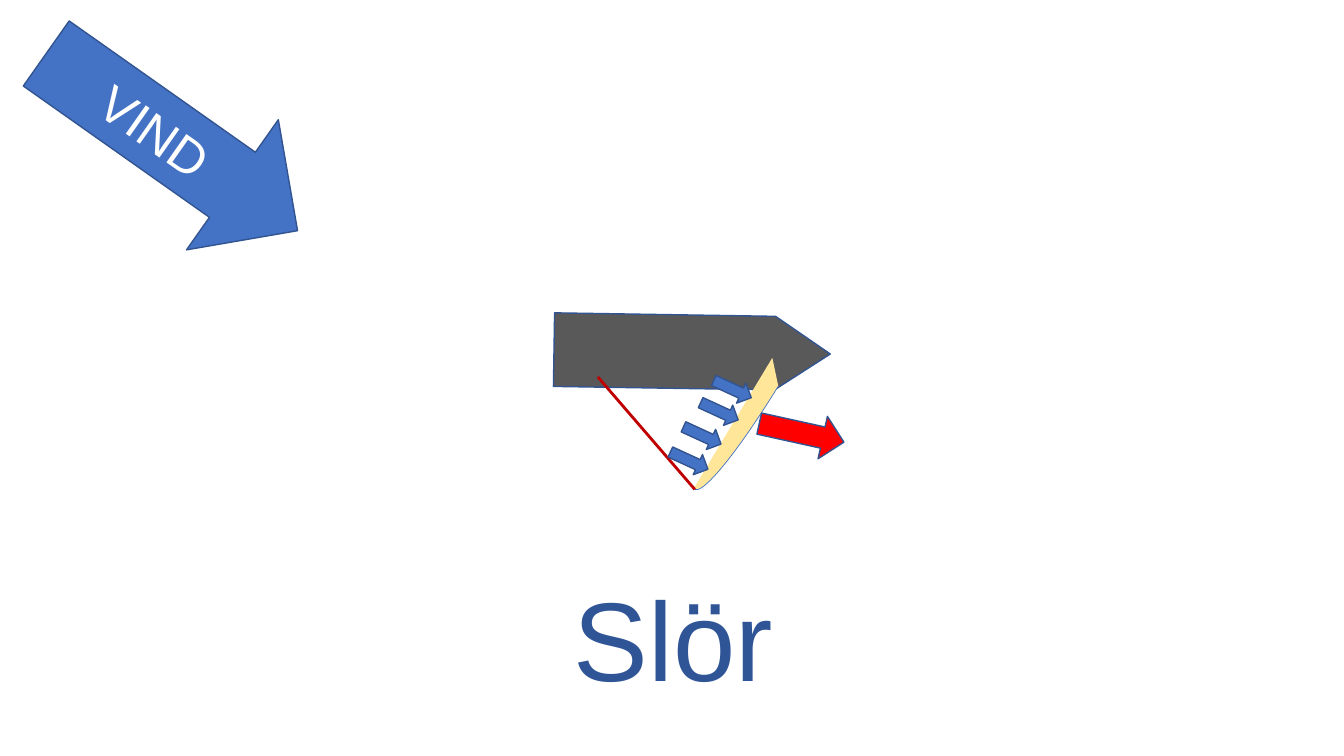
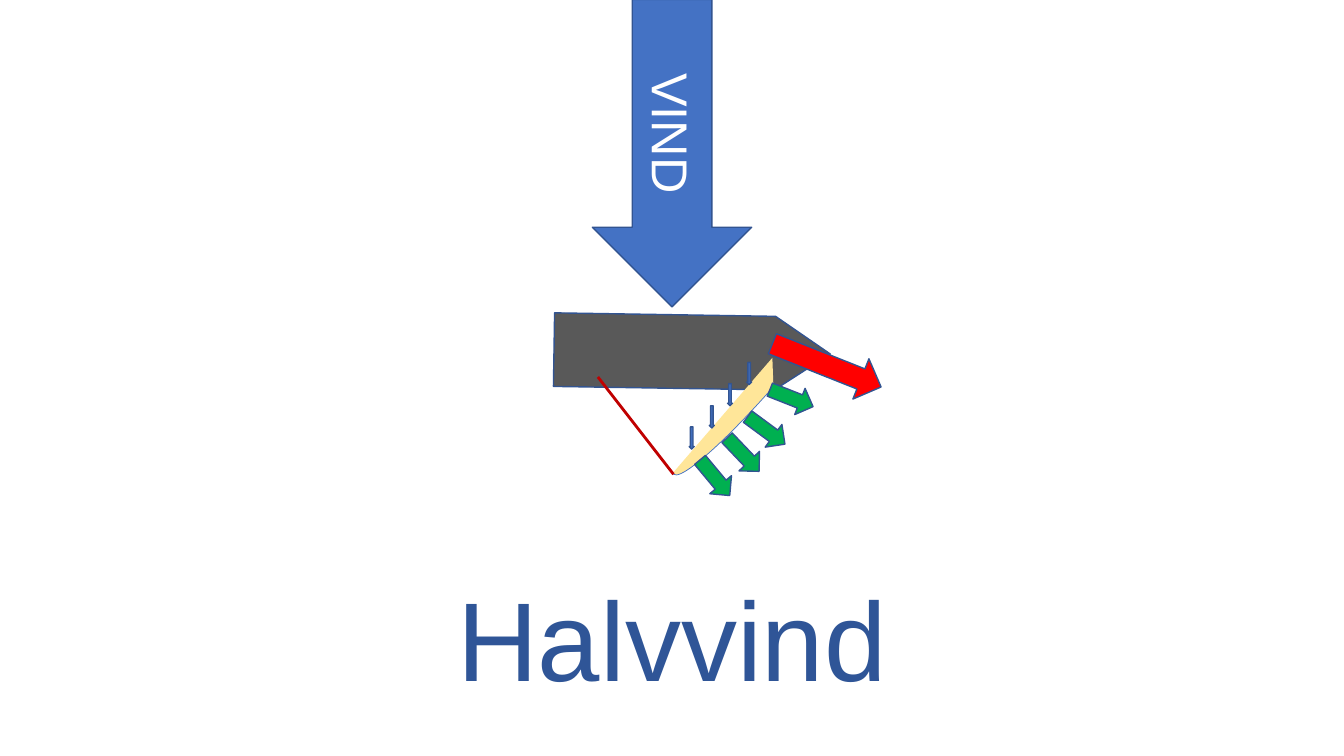
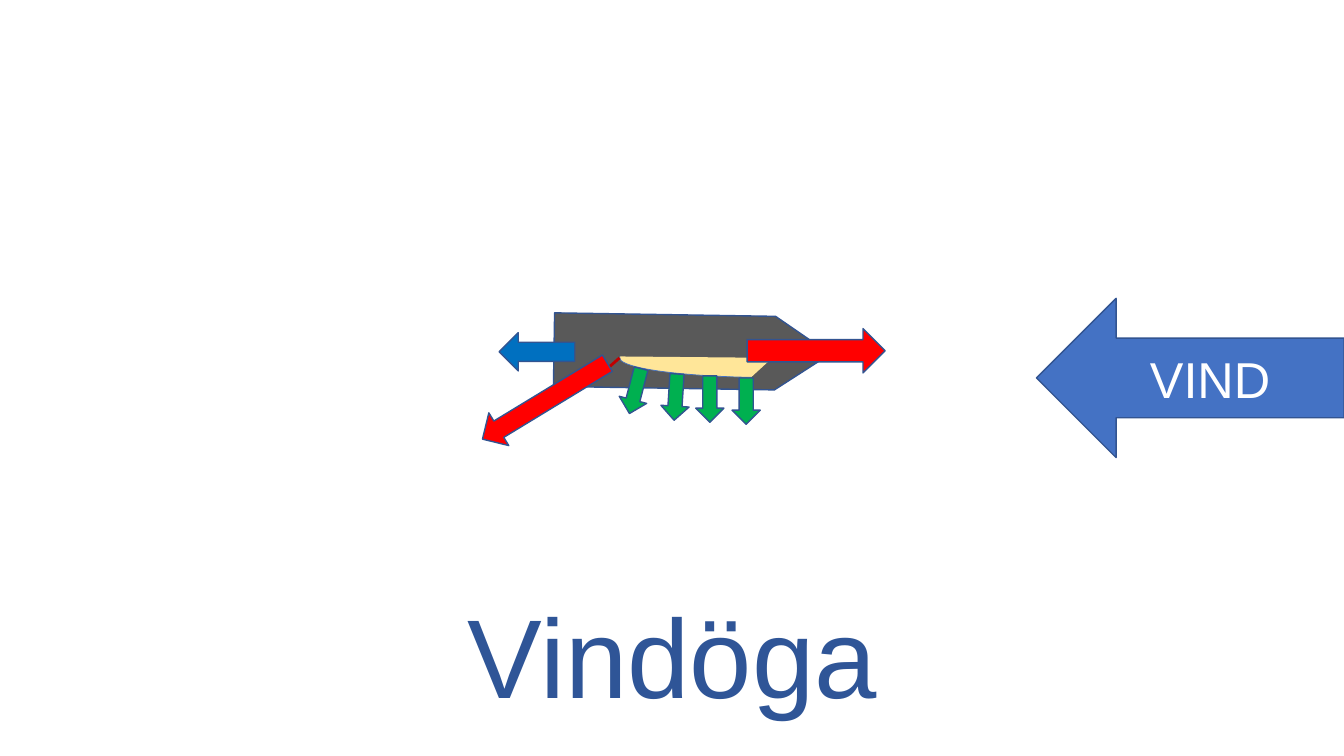
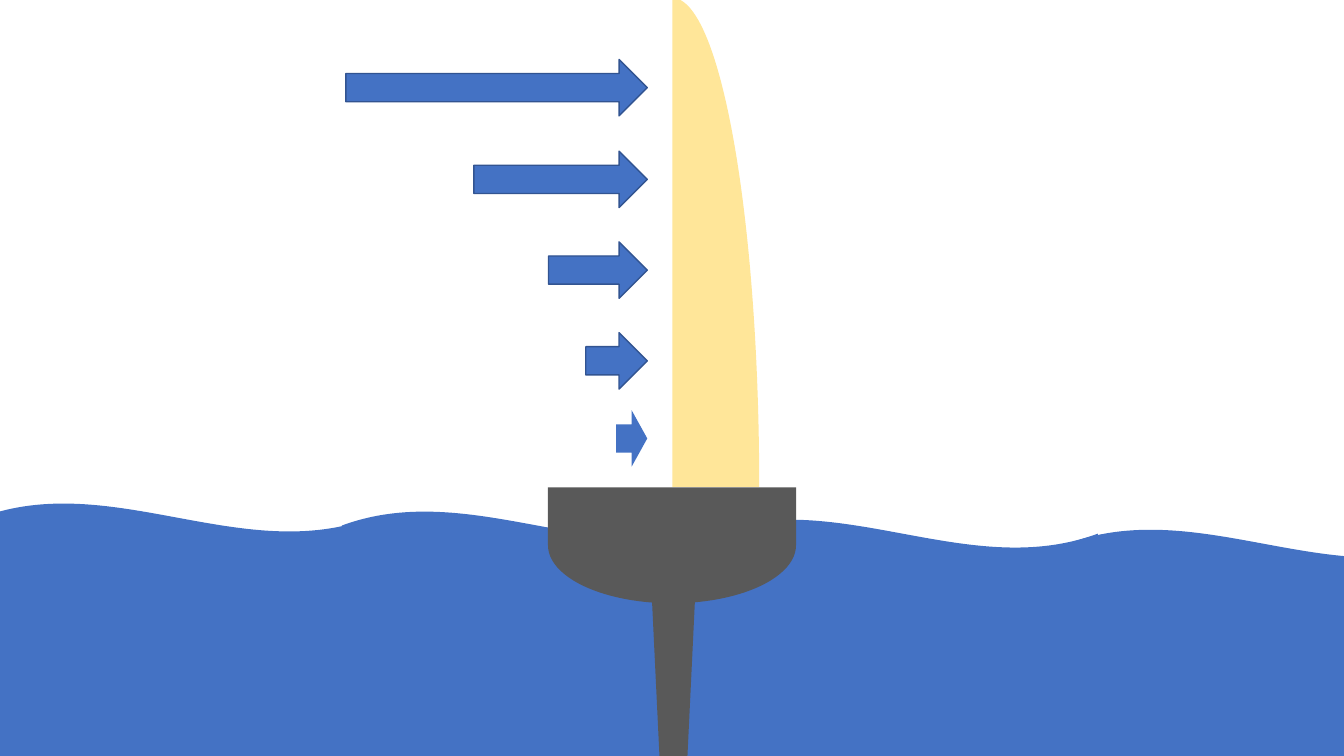
import math

import pptx
import pptx.dml.color
import pptx.enum.shapes
import pptx.enum.text
import pptx.oxml.ns
import pptx.util
from lxml import etree

Inches = pptx.util.Inches
SHAPE = pptx.enum.shapes.MSO_SHAPE
FONT = "Arial"
COLOURS = {
    "wind": "4472C4",
    "outline": "325491",
    "hull": "595959",
    "sail": "FFE699",
    "sheet": "C00000",
    "thrust": "FF0000",
    "lift": "00B050",
    "drag": "0070C0",
    "title": "2F5597",
    "white": "FFFFFF",
}
LIFT_SIZE = (0.46, 0.28)
WIND_SIZE = (3.05, 1.58)


def colour(name):
    return pptx.dml.color.RGBColor.from_string(COLOURS[name])


def add_shape(shapes, kind, box, fill, rotation=0, outline="outline", weight=1):
    """Add a flat shape; box is left, top, width, height in inches."""
    shape = shapes.add_shape(kind, *[Inches(length) for length in box])
    shape.shadow.inherit = False
    shape.rotation = rotation
    shape.fill.solid()
    shape.fill.fore_color.rgb = colour(fill)
    if outline:
        shape.line.color.rgb = colour(outline)
        shape.line.width = pptx.util.Pt(weight)
    else:
        shape.line.fill.background()
    return shape


def format_text(text_frame, size, name):
    paragraph = text_frame.paragraphs[0]
    paragraph.alignment = pptx.enum.text.PP_ALIGN.CENTER
    for run in paragraph.runs:
        run.font.size = pptx.util.Pt(size)
        run.font.name = FONT
        run.font.color.rgb = colour(name)


def add_title(slide, text, box):
    title = slide.shapes.title
    title.left, title.top, title.width, title.height = [Inches(length) for length in box]
    text_frame = title.text_frame
    text_frame.text = text
    text_frame.word_wrap = True
    text_frame.auto_size = pptx.enum.text.MSO_AUTO_SIZE.NONE
    text_frame.vertical_anchor = pptx.enum.text.MSO_ANCHOR.TOP
    format_text(text_frame, 80, "title")


def add_wind(slide, left, top, rotation=0, kind=SHAPE.RIGHT_ARROW):
    arrow = add_shape(slide.shapes, kind, (left, top, *WIND_SIZE), "wind", rotation)
    arrow.text_frame.text = "VIND"
    arrow.text_frame.vertical_anchor = pptx.enum.text.MSO_ANCHOR.MIDDLE
    format_text(arrow.text_frame, 36, "white")


def add_arrows(slide, fill, size, places):
    """Add equal arrows; each place is left, top, rotation."""
    for left, top, rotation in places:
        add_shape(slide.shapes, SHAPE.RIGHT_ARROW, (left, top, *size), fill, rotation)


def add_boat(slide, left, top, sail_angle):
    """Boat from above; the sail turns about the mast and the sheet holds its tip."""
    # Hull
    add_shape(slide.shapes, SHAPE.FLOWCHART_OFFPAGE_CONNECTOR,
              (left + 1, top - 1, 0.73, 2.74), "hull", 270.9)
    # Sail
    mast_x, mast_y = left + 2.16, top + 0.43
    length, depth = 3.03, 0.39
    sail = add_shape(slide.shapes, SHAPE.ARC,
                     (mast_x - length / 2, mast_y - depth / 2, length, depth),
                     "sail", sail_angle, "wind", 0.5)
    sail.adjustments[0] = 190.58
    sail.adjustments[1] = 0.32
    # Sheet
    angle = math.radians(sail_angle)
    tip_x = mast_x + length / 2 * math.cos(angle)
    tip_y = mast_y + length / 2 * math.sin(angle)
    sheet = slide.shapes.add_connector(
        pptx.enum.shapes.MSO_CONNECTOR.STRAIGHT,
        Inches(tip_x), Inches(tip_y), Inches(left + 0.43), Inches(top + 0.62))
    sheet.line.color.rgb = colour("sheet")
    sheet.line.width = pptx.util.Pt(2)
    etree.SubElement(sheet.element.spPr, pptx.oxml.ns.qn("a:effectLst"))


def add_course(presentation, text, title_box, sail_angle):
    """Start a slide with the title and the boat."""
    slide = presentation.slides.add_slide(presentation.slide_layouts[5])
    add_title(slide, text, title_box)
    add_boat(slide, 5.5, 3.12, sail_angle)
    return slide


def build_broad_reach(presentation):
    slide = add_course(presentation, "Slör", (5.1, 5.6, 3.16, 1.45), 120.5)
    add_wind(slide, 0.18, 0.62, 35.2)
    add_arrows(slide, "wind", (0.41, 0.22), [
        (7.06, 3.75, 24.7), (6.93, 3.97, 24.7), (6.76, 4.21, 24.7), (6.63, 4.46, 24.7)])
    add_arrows(slide, "thrust", (0.86, 0.43), [(7.52, 4.08, 12.4)])


def build_beam_reach(presentation):
    slide = add_course(presentation, "Halvvind", (3.58, 5.6, 6.17, 1.45), 130.3)
    add_wind(slide, 5.14, 0.73, 90)
    add_arrows(slide, "wind", (0.22, 0.05), [
        (7.32, 3.68, 90), (7.13, 3.89, 90), (6.95, 4.11, 90), (6.75, 4.32, 90)])
    add_arrows(slide, "thrust", (1.16, 0.43), [(7.62, 3.41, 21.7)])
    add_arrows(slide, "lift", LIFT_SIZE, [
        (7.62, 3.81, 21.6), (7.37, 4.13, 36.4), (7.14, 4.37, 46.4), (6.86, 4.6, 50.2)])


def build_head_to_wind(presentation):
    slide = add_course(presentation, "Vindöga", (1.86, 5.77, 9.62, 1.45), 180)
    add_wind(slide, 10.28, 2.96, kind=SHAPE.LEFT_ARROW)
    add_shape(slide.shapes, SHAPE.LEFT_ARROW, (4.95, 3.3, 0.75, 0.38), "drag")
    add_arrows(slide, "thrust", (1.37, 0.44), [(7.41, 3.26, 0)])
    add_arrows(slide, "lift", LIFT_SIZE, [
        (6.07, 3.74, 104.5), (7.17, 3.84, 90), (6.81, 3.82, 90), (6.47, 3.8, 93.6)])
    add_shape(slide.shapes, SHAPE.LEFT_ARROW, (4.68, 3.79, 1.45, 0.38), "thrust", 328.7)


def add_wind_gradient(slide, right):
    """Arrows that end on one line and grow longer with height."""
    for top, length in [(0.59, 2.99), (1.5, 1.72), (2.4, 0.98), (3.3, 0.61), (4.07, 0.31)]:
        add_shape(slide.shapes, SHAPE.RIGHT_ARROW, (right - length, top, length, 0.56),
                  "wind", outline="outline" if length > 0.5 else None)


def add_sea(slide):
    """Columns of waves, with the crests grouped on top."""
    columns = [
        (-0.19, 4.99, (5.58, 6.03, 6.17, 6.92)),
        (3.39, 5.07, (5.31, 6.12, 6.79, 6.75)),
        (7.01, 5.15, (5.71, 6.15, 6.29, 7.04)),
        (10.59, 5.25, (5.81, 6.25, 6.39, 6.88)),
    ]
    waves = [(slide.shapes, left, top) for left, _, tops in columns for top in tops]
    crests = slide.shapes.add_group_shape().shapes
    waves += [(crests, left, crest) for left, crest, _ in columns]
    for shapes, left, top in waves:
        add_shape(shapes, SHAPE.WAVE, (left, top, 3.88, 1.15), "wind", outline=None)


def add_boat_from_behind(slide, left, top):
    # Keel
    add_shape(slide.shapes, SHAPE.FLOWCHART_MANUAL_OPERATION,
              (left + 1.02, top + 5.83, 0.44, 1.83), "hull", outline=None)
    # Sail and hull
    rig = slide.shapes.add_group_shape().shapes
    add_shape(rig, SHAPE.ARC, (left + 0.37, top, 1.72, 9.7), "sail", outline=None)
    add_shape(rig, SHAPE.FLOWCHART_DELAY, (left + 0.65, top + 4.2, 1.15, 2.46),
              "hull", 90, outline=None)


def build_gradient(presentation):
    slide = presentation.slides.add_slide(presentation.slide_layouts[6])
    add_wind_gradient(slide, 6.42)
    add_sea(slide)
    add_boat_from_behind(slide, 5.44, -0.02)


def main():
    presentation = pptx.Presentation()
    presentation.slide_width = Inches(13.33)
    presentation.slide_height = Inches(7.5)
    build_broad_reach(presentation)
    build_beam_reach(presentation)
    build_head_to_wind(presentation)
    build_gradient(presentation)
    presentation.save("out.pptx")


if __name__ == "__main__":
    main()
